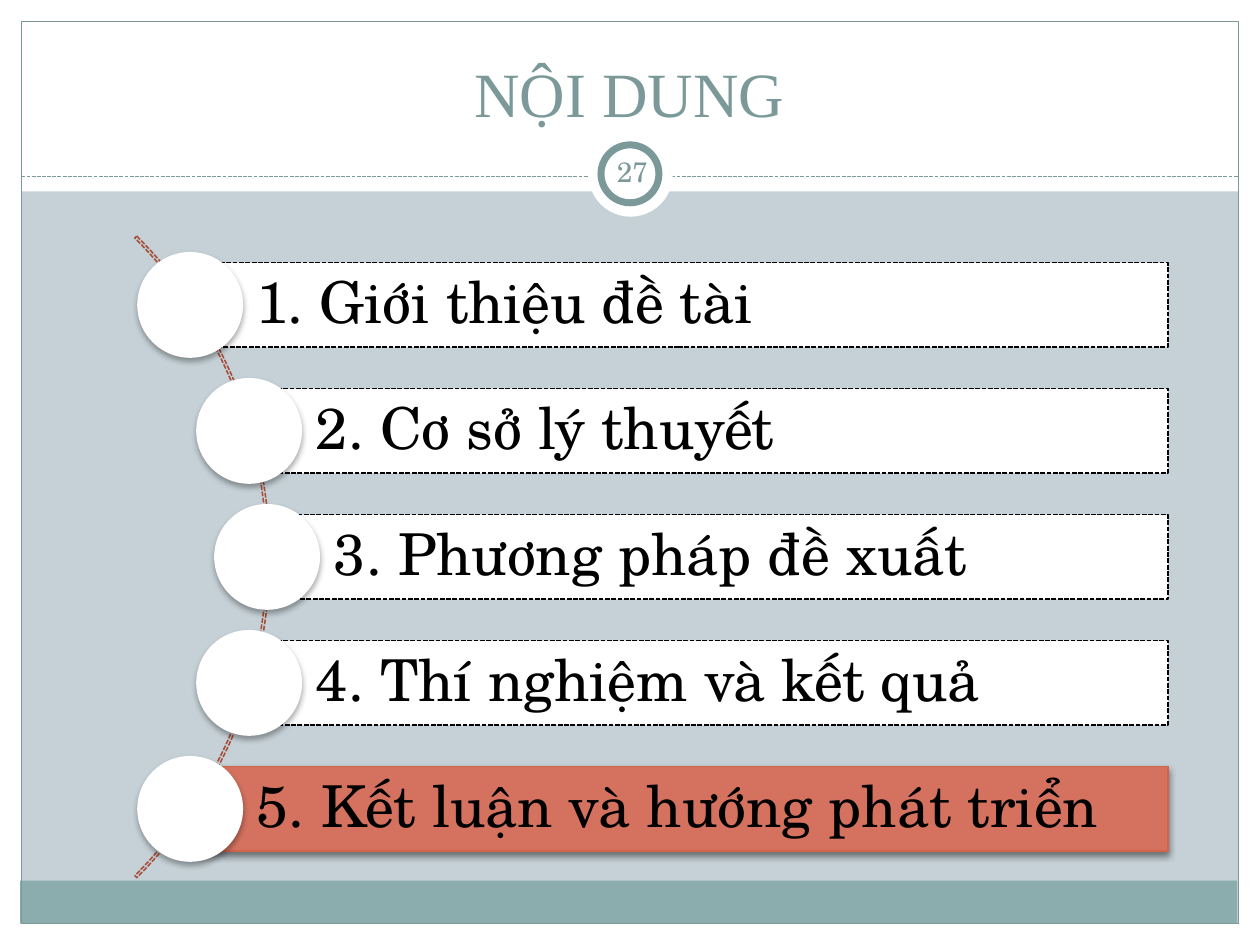
from math import sqrt
from lxml.etree import SubElement
from pptx import Presentation
from pptx.dml.color import RGBColor
from pptx.enum.dml import MSO_LINE
from pptx.enum.shapes import MSO_CONNECTOR, MSO_SHAPE
from pptx.enum.text import MSO_ANCHOR, PP_ALIGN
from pptx.oxml.ns import qn
from pptx.util import Inches, Pt

TITLE = "NỘI DUNG"
PAGE = "27"
TOPICS = [
    "1. Giới thiệu đề tài",
    "2. Cơ sở lý thuyết",
    "3. Phương pháp đề xuất",
    "4. Thí nghiệm và kết quả",
    "5. Kết luận và hướng phát triển",
]
ACTIVE = 4
COLORS = {
    "back": "C5D1D7", "white": "FFFFFF", "black": "000000", "teal": "7C999A",
    "foot": "8CADAE", "arc": "A74F3A", "bar": "D4725F", "edge": "D16349",
}
BODY, HEAD = "TeX Gyre Schola", "Times New Roman"
WIDE, HIGH, EDGE = 10, 7.5, 0.17
MARGINS = [
    (0, HIGH - EDGE, WIDE, EDGE),
    (0, 0, WIDE, 1.52),
    (0, 0, EDGE, HIGH),
    (WIDE - EDGE, 0, EDGE, HIGH),
]
ARC_X, ARC_Y, ARC_R = -1.46, 4.42, 3.6
PATH_R, STEP = 3.58, 1
DOT, BAR_H, BAR_END = 0.84, 0.67, 9.27


def color(name):
    return RGBColor.from_string(COLORS[name])


def style_line(line, name, width, dashed=False):
    line.color.rgb = color(name)
    line.width = Pt(width)
    if dashed:
        line.dash_style = MSO_LINE.SQUARE_DOT


def add_shade(shape, alpha, blur, dist):
    effects = shape._element.spPr.find(qn("a:effectLst"))
    outer = SubElement(effects, qn("a:outerShdw"), blurRad=str(Pt(blur)),
                       dist=str(Pt(dist)), dir="5400000", rotWithShape="0")
    tint = SubElement(outer, qn("a:srgbClr"), val=COLORS["black"])
    SubElement(tint, qn("a:alpha"), val=str(alpha * 1000))


def add_box(kind, box, fill=None, line=None, width=0.75, dashed=False):
    shape = slide.shapes.add_shape(kind, *map(Inches, box))
    shape.shadow.inherit = False
    if fill:
        shape.fill.solid()
        shape.fill.fore_color.rgb = color(fill)
    else:
        shape.fill.background()
    if line:
        style_line(shape.line, line, width, dashed)
    else:
        shape.line.fill.background()
    return shape


def put_text(shape, text, size, font=BODY, tint="black", align=PP_ALIGN.LEFT,
             anchor=MSO_ANCHOR.MIDDLE, inset=(0.1, 0.05, 0.1, 0.05), space=1.0):
    frame = shape.text_frame
    frame.word_wrap = True
    frame.vertical_anchor = anchor
    (frame.margin_left, frame.margin_top,
     frame.margin_right, frame.margin_bottom) = map(Inches, inset)
    para = frame.paragraphs[0]
    para.alignment = align
    para.line_spacing = space
    run = para.add_run()
    run.text = text
    run.font.size = Pt(size)
    run.font.name = font
    run.font.color.rgb = color(tint)


def add_label(box, text, size, **style):
    put_text(slide.shapes.add_textbox(*map(Inches, box)), text, size, **style)


def add_frame():
    for box in MARGINS:
        add_box(MSO_SHAPE.RECTANGLE, box, "white")
    add_box(MSO_SHAPE.RECTANGLE, (0.16, 6.99, 9.66, 0.34), "foot")
    add_box(MSO_SHAPE.RECTANGLE, (EDGE, EDGE, WIDE - 2 * EDGE, HIGH - 2 * EDGE),
            line="teal")
    rule = slide.shapes.add_connector(
        MSO_CONNECTOR.STRAIGHT, *map(Inches, (EDGE, 1.4, WIDE - EDGE, 1.4)))
    style_line(rule.line, "teal", 0.75, True)
    SubElement(rule._element.spPr, qn("a:effectLst"))
    add_box(MSO_SHAPE.OVAL, (4.67, 1.05, 0.67, 0.67), "white")
    add_box(MSO_SHAPE.OVAL, (4.77, 1.15, 0.46, 0.46), "white", "teal", 4)


def add_topics():
    arc = add_box(MSO_SHAPE.BLOCK_ARC,
                  (ARC_X - ARC_R, ARC_Y - ARC_R, 2 * ARC_R, 2 * ARC_R),
                  line="arc", width=0.9, dashed=True)
    for i, value in enumerate((189, 27, 0.003)):
        arc.adjustments[i] = value
    for i, topic in enumerate(TOPICS):
        drop = (i - (len(TOPICS) - 1) / 2) * STEP
        x = ARC_X + sqrt(PATH_R ** 2 - drop ** 2)
        y = ARC_Y + drop
        box = (x, y - BAR_H / 2, BAR_END - x, BAR_H)
        if i == ACTIVE:
            bar = add_box(MSO_SHAPE.RECTANGLE, box, "bar", "edge")
            add_shade(bar, 45, 4, 2)
        else:
            bar = add_box(MSO_SHAPE.RECTANGLE, box, "white", "black", 0.9, True)
        put_text(bar, topic, 33, inset=(0.53, 0.09, 0.09, 0.09), space=0.9)
        dot = add_box(MSO_SHAPE.OVAL, (x - DOT / 2, y - DOT / 2, DOT, DOT), "white")
        add_shade(dot, 32, 3.5, 2.2)


deck = Presentation()
deck.slide_width, deck.slide_height = Inches(WIDE), Inches(HIGH)
slide = deck.slides.add_slide(deck.slide_layouts[6])
slide.background.fill.solid()
slide.background.fill.fore_color.rgb = color("back")
add_frame()
add_label((0.33, 0.25, 9.33, 0.83), TITLE, 36, font=HEAD, tint="teal",
          align=PP_ALIGN.CENTER, anchor=MSO_ANCHOR.BOTTOM)
add_topics()
add_label((4.77, 1.12, 0.5, 0.48), PAGE, 16, tint="teal",
          align=PP_ALIGN.CENTER, inset=(0.05, 0.05, 0.05, 0.05))
deck.save("out.pptx")
